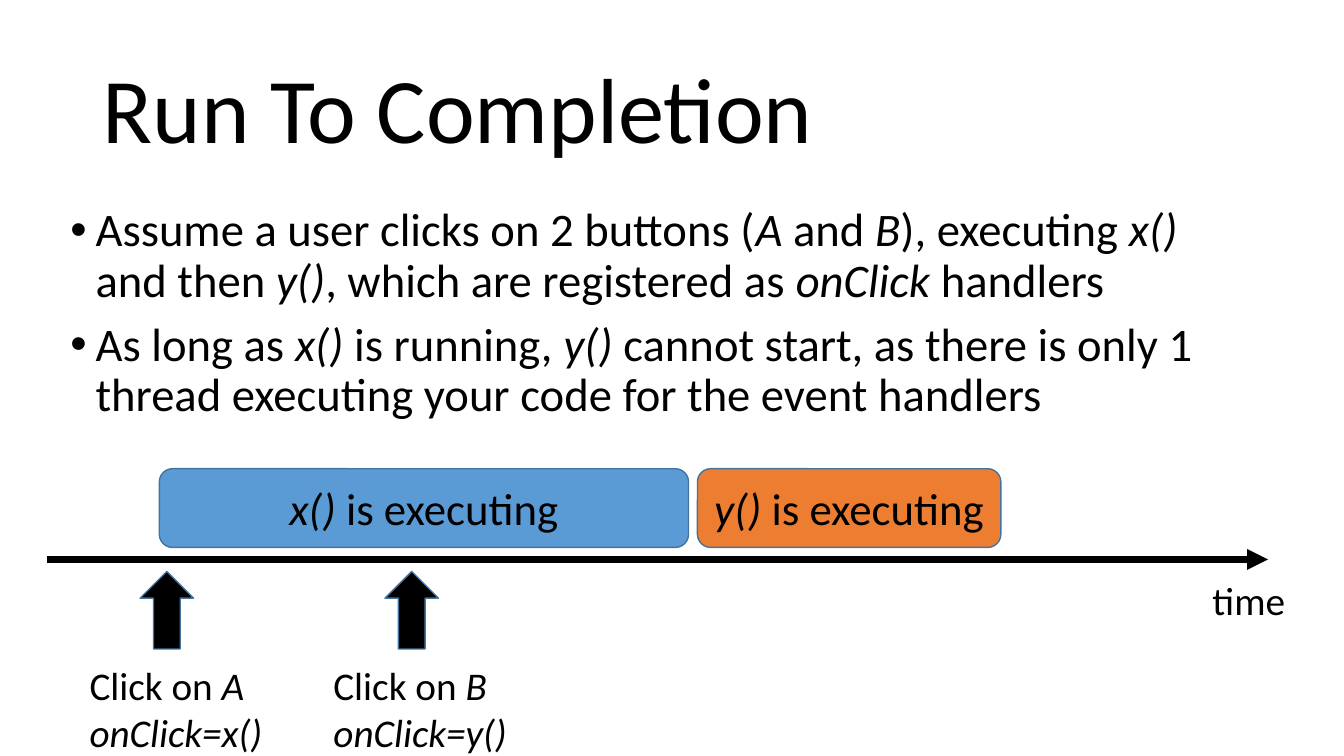
from lxml.etree import SubElement
from pptx import Presentation
from pptx.dml.color import RGBColor
from pptx.enum.shapes import MSO_CONNECTOR, MSO_SHAPE
from pptx.enum.text import MSO_ANCHOR, MSO_AUTO_SIZE, PP_ALIGN
from pptx.oxml.ns import qn
from pptx.util import Pt

COLORS = {"black": "000000", "blue": "5B9BD5", "orange": "ED7D31", "outline": "43739E"}


def write(s, lines, size, **para_format):
    tf = s.text_frame
    for i, line in enumerate(lines):
        p = tf.paragraphs[0] if i == 0 else tf.add_paragraph()
        for name, value in para_format.items():
            setattr(p, name, value)
        for j, text in enumerate(line.split("*")):
            if text:
                r = p.add_run()
                r.text = text
                font = {"name": "Calibri", "size": Pt(size), "italic": j % 2 == 1}
                for name, value in font.items():
                    setattr(r.font, name, value)
                r.font.color.rgb = RGBColor.from_string(COLORS["black"])
    return tf


def add_block(kind, x, y, w, h, fill):
    s = sp.add_shape(kind, Pt(x), Pt(y), Pt(w), Pt(h))
    s.shadow.inherit = False
    s.fill.solid()
    s.fill.fore_color.rgb = RGBColor.from_string(COLORS[fill])
    s.line.color.rgb = RGBColor.from_string(COLORS["outline"])
    s.line.width = Pt(1)
    return s


prs = Presentation()
prs.slide_width, prs.slide_height = Pt(960), Pt(540)
sp = prs.slides.add_slide(prs.slide_layouts[6]).shapes

title = sp.add_textbox(Pt(66.24), Pt(28.8), Pt(828), Pt(104.4))
tf = write(title, ["Run To Completion"], 66, line_spacing=0.9)
tf.word_wrap = True
tf.vertical_anchor = MSO_ANCHOR.MIDDLE

body = sp.add_textbox(Pt(43.2), Pt(144), Pt(851), Pt(159.8))
bullets = [
    "Assume a user clicks on 2 buttons (*A* and *B*), executing *x()* and then *y()*, "
    "which are registered as *onClick* handlers",
    "As long as *x()* is running, *y()* cannot start, as there is only 1 thread "
    "executing your code for the event handlers",
]
tf = write(body, bullets, 33.3, line_spacing=0.9, space_before=Pt(10))
tf.word_wrap = True
for p in tf.paragraphs:
    pPr = p._p.get_or_add_pPr()
    pPr.set("marL", str(Pt(18)))
    pPr.set("indent", str(Pt(-18)))
    SubElement(pPr, qn("a:buFont"), typeface="Arial")
    SubElement(pPr, qn("a:buChar"), char="•")

axis = sp.add_connector(MSO_CONNECTOR.STRAIGHT, Pt(33.8), Pt(399.6), Pt(905.8), Pt(399.6))
axis.line.color.rgb = RGBColor.from_string(COLORS["black"])
axis.line.width = Pt(5)
SubElement(axis.line._get_or_add_ln(), qn("a:tailEnd"), type="triangle")
SubElement(axis._element.spPr, qn("a:effectLst"))

for x, w, fill, text in [
    (113.8, 378, "blue", "*x()* is executing"),
    (498.2, 216.7, "orange", "*y() *is executing"),
]:
    s = add_block(MSO_SHAPE.ROUNDED_RECTANGLE, x, 334.8, w, 56.2, fill)
    tf = write(s, [text], 32, alignment=PP_ALIGN.CENTER)
    tf.vertical_anchor = MSO_ANCHOR.MIDDLE

for x in (100.1, 275):
    add_block(MSO_SHAPE.UP_ARROW, x, 408.2, 38.2, 55.4, "black")

for x, y, w, h, lines in [
    (56.9, 468.7, 139.7, 74.9, ["Click on *A*", "*onClick=x()*"]),
    (231.1, 468.7, 139.7, 74.9, ["Click on *B*", "*onClick=y()*"]),
    (859, 408.2, 67, 41, ["time"]),
]:
    s = sp.add_textbox(Pt(x), Pt(y), Pt(w), Pt(h))
    tf = write(s, lines, 28)
    for name, value in {"word_wrap": False, "auto_size": MSO_AUTO_SIZE.SHAPE_TO_FIT_TEXT}.items():
        setattr(tf, name, value)

prs.save("out.pptx")
